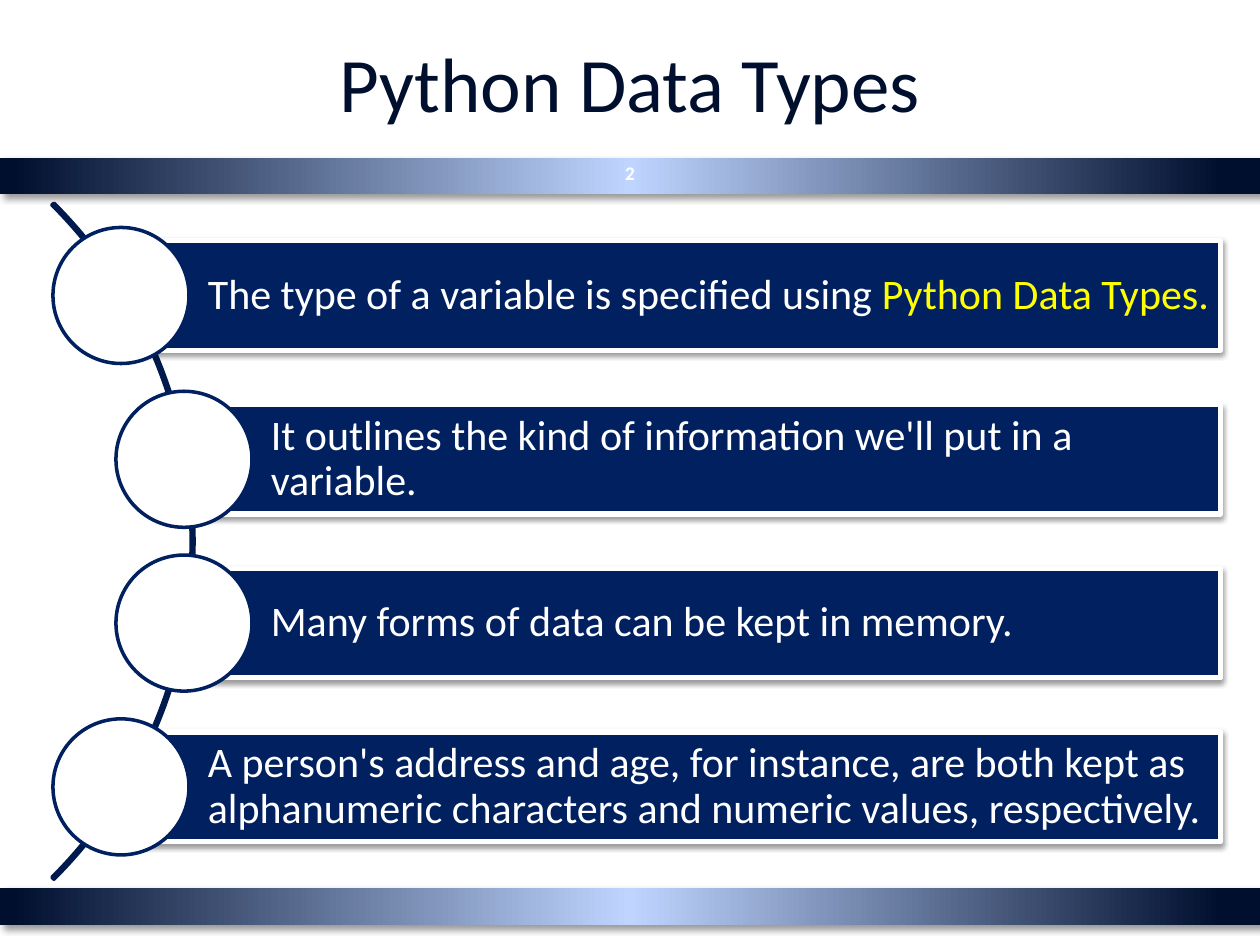
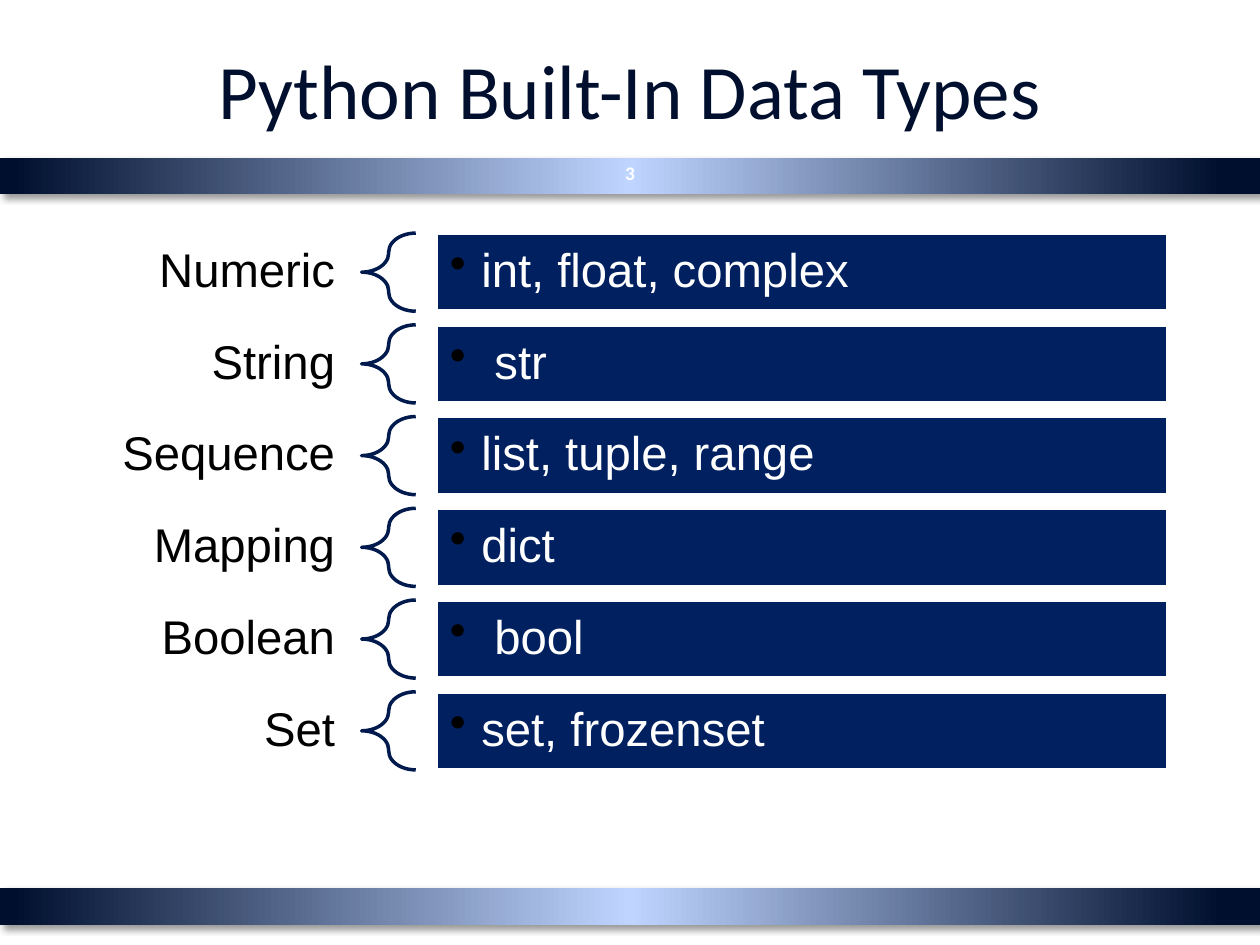
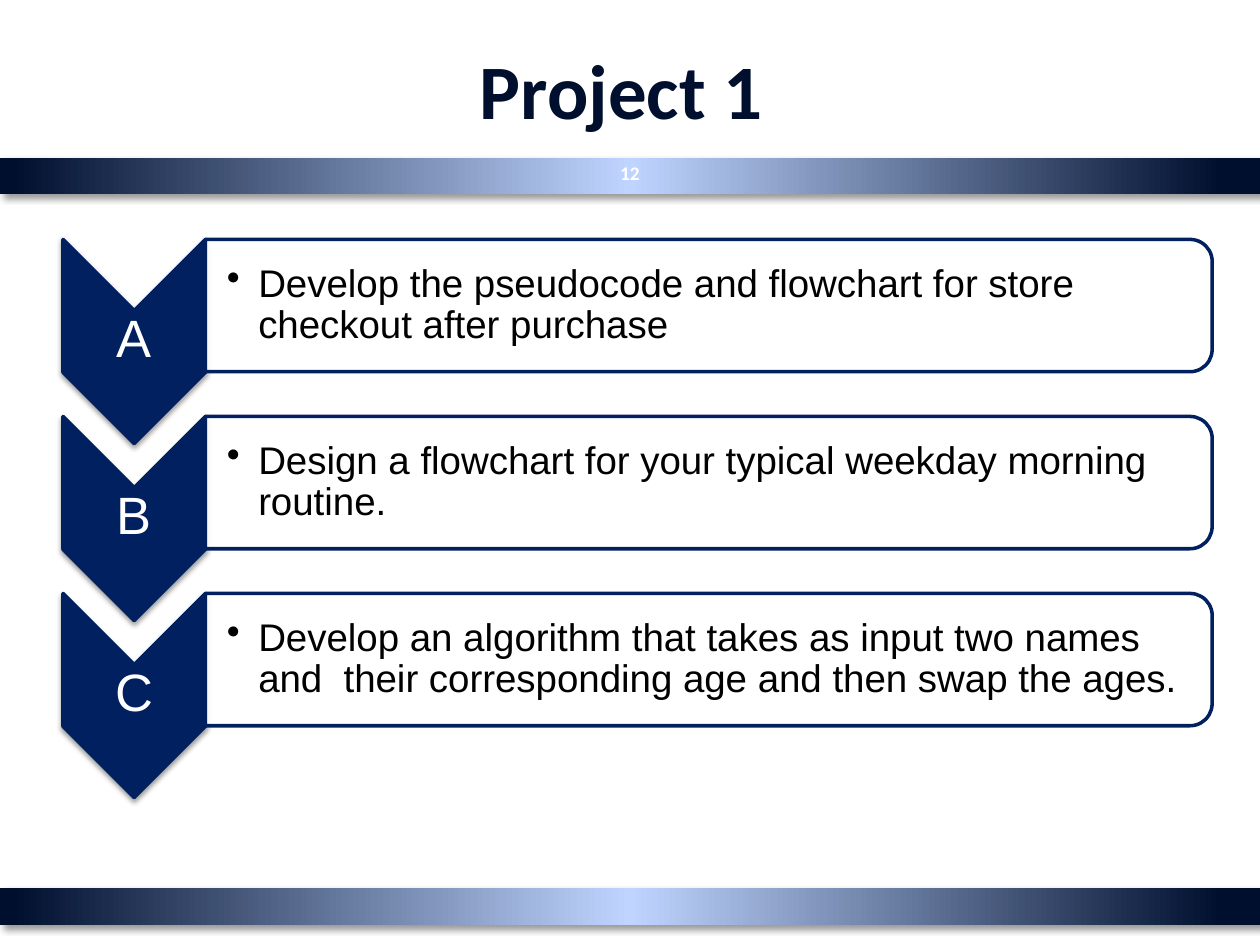
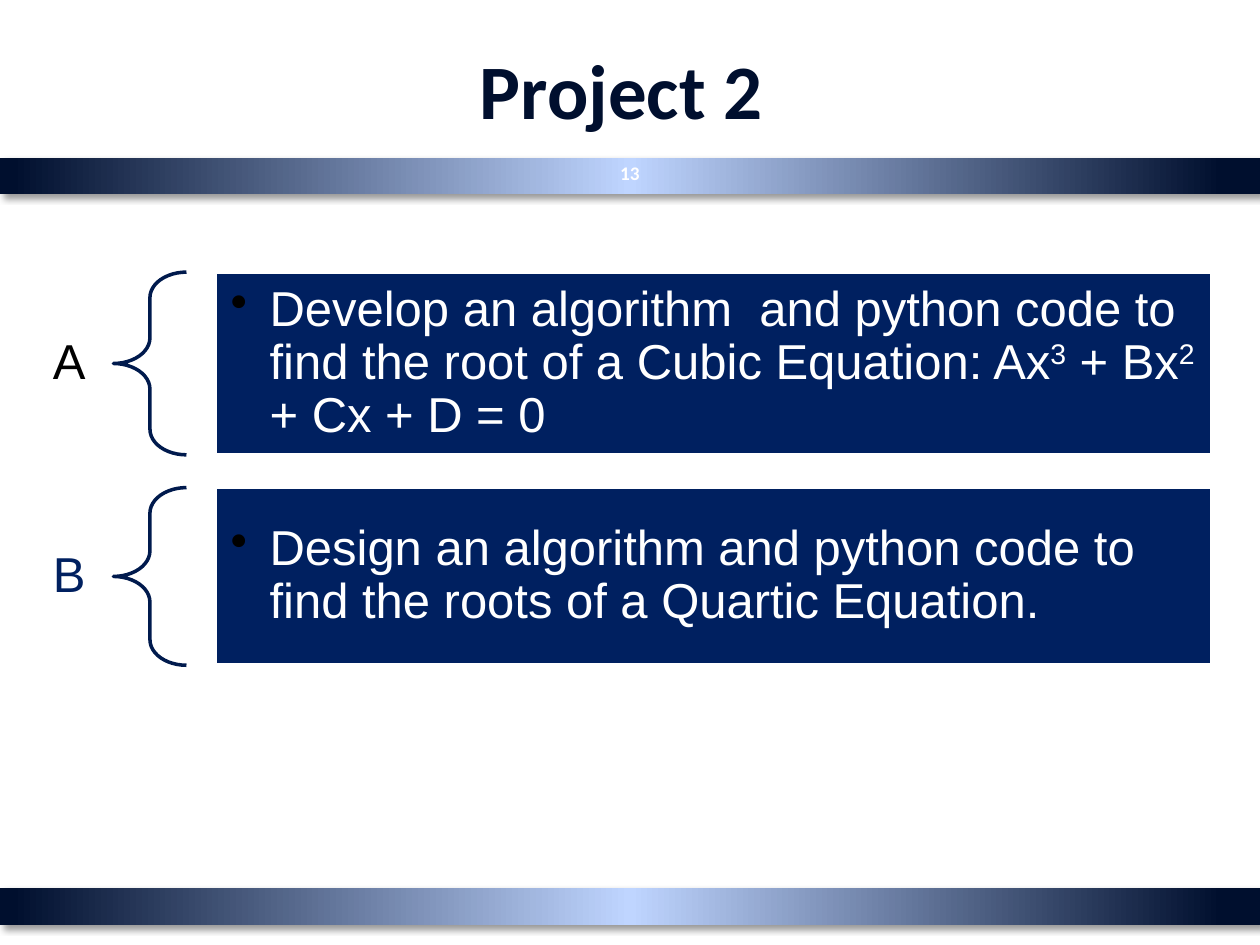
from dataclasses import dataclass

from lxml.etree import SubElement
from pptx import Presentation
from pptx.dml.color import RGBColor
from pptx.enum.shapes import MSO_SHAPE as Shape
from pptx.enum.text import MSO_ANCHOR as Anchor, MSO_AUTO_SIZE as AutoSize, PP_ALIGN as Align
from pptx.oxml.ns import qn
from pptx.util import Emu, Pt

PX = 9144  # EMU in one px; 100 px make an inch


@dataclass(frozen=True)
class Theme:
    heading: str = "Calibri"
    body: str = "Arial"
    ink: str = "000F2E"
    glow: str = "BFD5FF"
    navy: str = "002060"
    edge: str = "001A4D"
    white: str = "FFFFFF"
    black: str = "000000"
    accent: str = "FFFF00"
    title_size: int = 44
    number_size: int = 11
    arc_size: int = 24
    type_size: int = 27
    letter_size: int = 30
    task_size: int = 22
    equation_size: int = 28


THEME = Theme()
BAND_STOPS = [(0, THEME.ink), (3, THEME.ink), (50, THEME.glow), (99, THEME.ink), (100, THEME.ink)]
BAND_SHADOW = {"alpha": 40, "blur": 4, "distance": 3, "angle": 45}
SOFT_SHADOW = {"alpha": 38, "blur": 3.1, "distance": 1.6, "angle": 90}
ACCENT = {"color": THEME.accent}
RAISED = {"baseline": 30000}

# Content: a text is a list of (words, format) spans.
FACTS = [
    [("The type of a variable is specified using ", {}), ("Python Data Types.", ACCENT)],
    [("It outlines the kind of information we'll put in a variable.", {})],
    [("Many forms of data can be kept in memory.", {})],
    [("A person's address and age, for instance, are both kept as "
      "alphanumeric characters and numeric values, respectively.", {})],
]
DATA_TYPES = [
    ("Numeric", "int, float, complex"),
    ("String", " str"),
    ("Sequence", "list, tuple, range"),
    ("Mapping", "dict"),
    ("Boolean", " bool"),
    ("Set", "set, frozenset"),
]
TASKS = [
    ("A", "Develop the pseudocode and flowchart for store checkout after purchase"),
    ("B", "Design a flowchart for your typical weekday morning routine."),
    ("C", "Develop an algorithm that takes as input two names and  their "
          "corresponding age and then swap the ages."),
]
CUBIC = [
    ("Develop an algorithm  and python code to find the root of a Cubic Equation: Ax", {}),
    ("3", RAISED), (" + Bx", {}), ("2", RAISED), (" + Cx + D = 0", {}),
]
QUARTIC = [("Design an algorithm and python code to find the roots of a Quartic Equation.", {})]


def px(value):
    return Emu(round(value * PX))


def color(code):
    return RGBColor.from_string(code)


def spread(first, last, count):
    """Evenly spaced positions from first to last."""
    return [first + (last - first) * index / (count - 1) for index in range(count)]


def set_shadow(shape, alpha, blur, distance, angle):
    effects = shape.element.spPr.find(qn("a:effectLst"))
    outer = SubElement(effects, qn("a:outerShdw"), {
        "blurRad": str(Pt(blur)), "dist": str(Pt(distance)),
        "dir": str(angle * 60000), "algn": "ctr", "rotWithShape": "0"})
    tone = SubElement(outer, qn("a:srgbClr"), val=THEME.black)
    SubElement(tone, qn("a:alpha"), val=str(alpha * 1000))


def add_box(page, kind, box, fill=None, line=None, weight=2, shadow=None, adjust=(), turned=False):
    """Add a shape whose visible frame is box, turned a quarter if asked."""
    left, top, width, height = box
    if turned:
        left, top = left + (width - height) / 2, top + (height - width) / 2
        width, height = height, width
    shape = page.shapes.add_shape(kind, *map(px, (left, top, width, height)))
    shape.rotation = 90 if turned else 0
    shape.shadow.inherit = False
    for index, value in enumerate(adjust):
        shape.adjustments[index] = value
    if fill:
        shape.fill.solid()
        shape.fill.fore_color.rgb = color(fill)
    else:
        shape.fill.background()
    if line:
        shape.line.color.rgb = color(line)
        shape.line.width = Pt(weight)
    else:
        shape.line.fill.background()
    if shadow:
        set_shadow(shape, **shadow)
    return shape


def add_bullet(para, indent):
    para.level = 1
    props = para._p.get_or_add_pPr()
    props.set("marL", str(px(indent)))
    props.set("indent", str(-px(indent)))
    tint = SubElement(props, qn("a:buClr"))
    SubElement(tint, qn("a:srgbClr"), val=THEME.black)
    SubElement(props, qn("a:buChar"), char="•")


def write(shape, spans, size, ink, font=THEME.body, bold=False, align=Align.LEFT,
          insets=(10, 5, 10, 5), spacing=0.9, bullet=0):
    frame = shape.text_frame
    sides = ("margin_left", "margin_top", "margin_right", "margin_bottom")
    layout = dict(zip(sides, map(px, insets)))
    layout |= {"word_wrap": True, "auto_size": AutoSize.NONE, "vertical_anchor": Anchor.MIDDLE}
    for name, value in layout.items():
        setattr(frame, name, value)
    para = frame.paragraphs[0]
    para.alignment = align
    para.line_spacing = spacing
    if bullet:
        add_bullet(para, bullet)
    for words, change in spans:
        span = para.add_run()
        span.text = words
        for name, value in {"name": font, "size": Pt(size), "bold": bold}.items():
            setattr(span.font, name, value)
        span.font.color.rgb = color(change.get("color", ink))
        if "baseline" in change:
            span.font._element.set("baseline", str(change["baseline"]))


def add_text(page, box, words, size, ink, **style):
    shape = page.shapes.add_textbox(*map(px, box))
    write(shape, [(words, {})], size, ink, **style)


def add_bands(page, layout):
    """Draw both gradient bands and hand them to the layout, behind its text."""
    for top in (705, 125):
        band = add_box(page, Shape.RECTANGLE, (0, top, 1000, 29), shadow=BAND_SHADOW)
        band.fill.gradient()
        band.fill.gradient_angle = 180
        stops = band.element.spPr.find(".//" + qn("a:gsLst"))
        stops.clear()
        for position, code in BAND_STOPS:
            stop = SubElement(stops, qn("a:gs"), pos=str(position * 1000))
            SubElement(stop, qn("a:srgbClr"), val=code)
        layout.shapes.element.insert(2, band.element)


def add_page(deck, title, number, title_top=8, bold=False):
    layout = deck.slide_layouts.get_by_name("Title Only")
    page = deck.slides.add_slide(layout)
    if len(deck.slides) == 1:
        add_bands(page, layout)
    heading = page.shapes.title
    for name, value in zip(("left", "top", "width", "height"), (50, title_top, 900, 125)):
        setattr(heading, name, px(value))
    common = {"font": THEME.heading, "align": Align.CENTER, "spacing": 1.0}
    write(heading, [(title, {})], THEME.title_size, THEME.ink, bold=bold, **common)
    add_text(page, (479, 117, 42, 40), number, THEME.number_size, THEME.white, bold=True, **common)
    return page


def add_arc_list(page, facts):
    """Bars with circles that follow a large arc."""
    right, height, circle = 969, 87, 108
    add_box(page, Shape.BLOCK_ARC, (-605, 50, 759, 759), line=THEME.edge, adjust=(189, 27, 0.003))
    for index, (top, spans) in enumerate(zip(spread(191, 581, len(facts)), facts)):
        left = 96 if index in (0, len(facts) - 1) else 146
        bar = add_box(page, Shape.RECTANGLE, (left, top, right - left, height), THEME.navy,
                      THEME.white, weight=3, shadow=SOFT_SHADOW)
        write(bar, spans, THEME.arc_size, THEME.white, font=THEME.heading, insets=(69, 7, 7, 7))
        add_box(page, Shape.OVAL, (left - circle / 2, top + (height - circle) / 2, circle, circle),
                THEME.white, THEME.navy)


def add_brace_row(page, top, height, label, spans, columns, size, pad, bullet, ink=THEME.black):
    """A label, a brace and a bar; columns holds (left, width) of each."""
    label_box, brace_box, bar_box = ((left, top, width, height) for left, width in columns)
    add_text(page, label_box, label, size, ink, align=Align.RIGHT, insets=(0, 7, 2 * pad - 2, 7))
    add_box(page, Shape.LEFT_BRACE, brace_box, line=THEME.edge, adjust=(0.35, 0.5))
    bar = add_box(page, Shape.RECTANGLE, bar_box, THEME.navy, THEME.white)
    write(bar, spans, size, THEME.white, insets=(pad,) * 4, bullet=bullet)


def add_chevron_list(page, tasks):
    for top, (letter, task) in zip(spread(190, 471, len(tasks)), tasks):
        add_box(page, Shape.CHEVRON, (50, top, 113, 162), THEME.navy, THEME.navy,
                shadow=SOFT_SHADOW, turned=True)
        add_text(page, (50, top + 56, 113, 49), letter, THEME.letter_size, THEME.white,
                 align=Align.CENTER, insets=(2,) * 4)
        panel = add_box(page, Shape.ROUND_2_SAME_RECTANGLE, (163, top, 799, 105), THEME.white,
                        THEME.navy, turned=True)
        tone = panel.element.spPr.find(qn("a:solidFill"))[0]
        SubElement(tone, qn("a:alpha"), val="90000")
        add_text(page, (163, top + 5, 794, 95), task, THEME.task_size, THEME.black,
                 insets=(17, 2, 2, 2), bullet=25)


def main():
    deck = Presentation()
    deck.slide_width, deck.slide_height = px(1000), px(750)

    add_arc_list(add_page(deck, "Python Data Types", "2", title_top=2), FACTS)

    page = add_page(deck, "Python Built-In Data Types", "3")
    type_columns = [(73, 213), (287, 43), (346, 581)]
    for top, (label, names) in zip(spread(185, 549, len(DATA_TYPES)), DATA_TYPES):
        add_brace_row(page, top, 62, label, [(names, {})], type_columns,
                      THEME.type_size, pad=11, bullet=25)

    add_chevron_list(add_page(deck, "Project 1 ", "12", bold=True), TASKS)

    page = add_page(deck, "Project 2 ", "13", bold=True)
    equation_columns = [(0, 90), (90, 58), (171, 791)]
    for top, height, label, spans, ink in [(216, 145, "A", CUBIC, THEME.black),
                                           (387, 141, "B", QUARTIC, THEME.navy)]:
        add_brace_row(page, top, height, label, spans, equation_columns,
                      THEME.equation_size, pad=12, bullet=31, ink=ink)

    deck.save("out.pptx")


if __name__ == "__main__":
    main()
